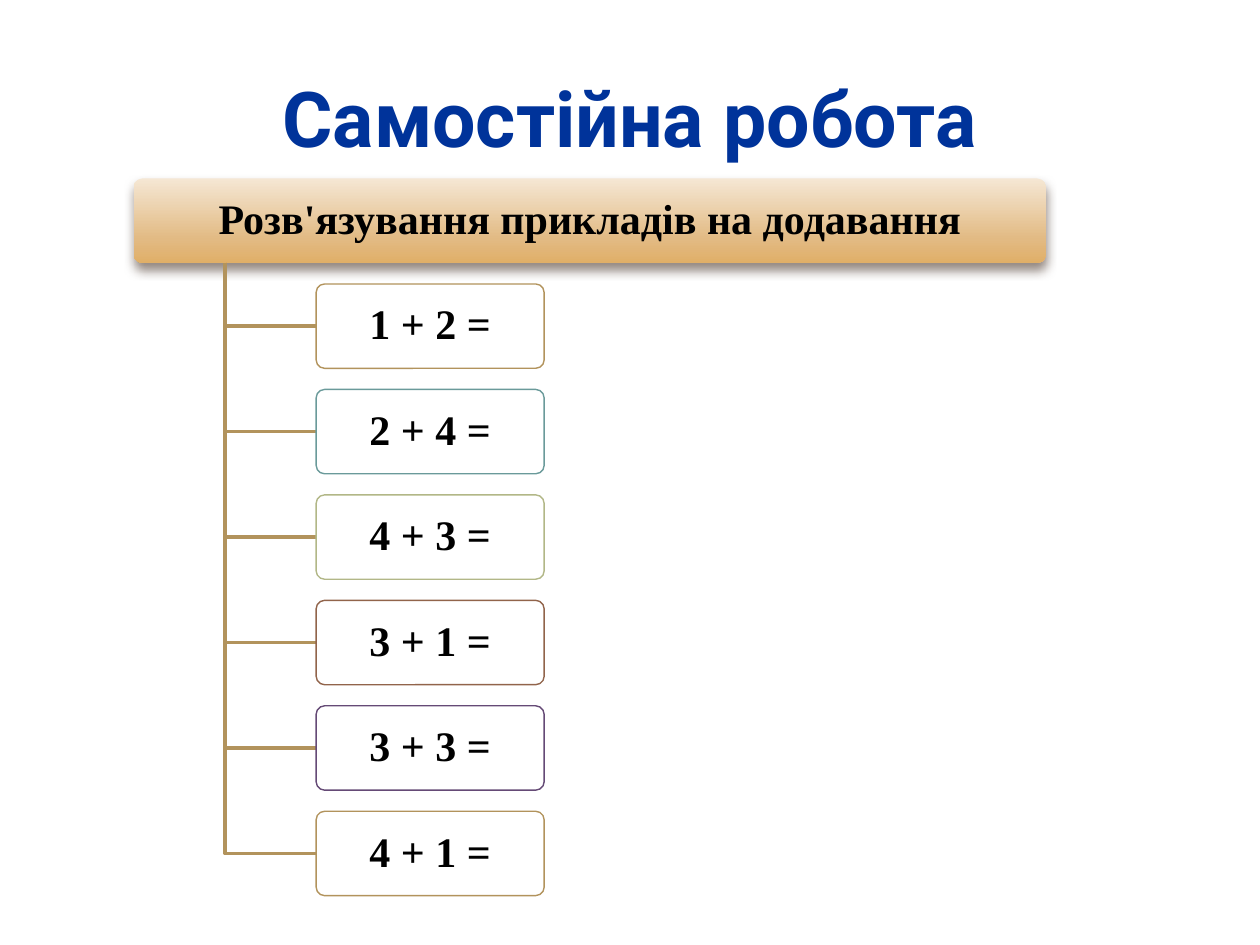
from dataclasses import dataclass

from pptx import Presentation
from pptx.dml.color import RGBColor
from pptx.enum.shapes import MSO_SHAPE as Shape
from pptx.enum.text import MSO_ANCHOR as Anchor, PP_ALIGN as Align
from pptx.oxml.ns import qn
from pptx.oxml.xmlchemy import OxmlElement
from pptx.util import Pt


@dataclass(frozen=True)
class Theme:
    """Colours, fonts and sizes of the slide."""
    title_font: str = "Roboto"
    body_font: str = "Times New Roman"
    title_size: float = 44
    body_size: float = 24
    title: str = "00339A"
    text: str = "000000"
    card: str = "FFFFFF"
    branch: str = "B2935C"
    shadow: str = "4E3B30"
    header: tuple = ((0, "F5E7D4"), (72, "E2BA83"), (100, "E0AF68"))
    borders: tuple = ("B2935C", "6A9A9A", "B2B787", "91644B", "654A76")


THEME = Theme()
TITLE = "Самостійна робота"
HEADING = "Розв'язування прикладів на додавання"
EXAMPLES = ("1 + 2 =", "2 + 4 =", "4 + 3 =", "3 + 1 =", "3 + 3 =", "4 + 1 =")


def add_child(parent, tag, **attributes):
    """Append an XML element with the given attributes."""
    child = OxmlElement(tag)
    for name, value in attributes.items():
        child.set(name, str(value))
    parent.append(child)
    return child


def write_text(shape, text, font, size, color, margins, spacing):
    """Write one bold, centred paragraph in a shape."""
    frame = shape.text_frame
    side, edge = margins
    formats = {"word_wrap": True, "vertical_anchor": Anchor.MIDDLE,
               "margin_left": Pt(side), "margin_right": Pt(side),
               "margin_top": Pt(edge), "margin_bottom": Pt(edge)}
    for name, value in formats.items():
        setattr(frame, name, value)
    paragraph = frame.paragraphs[0]
    paragraph.alignment = Align.CENTER
    paragraph.line_spacing = spacing
    run = paragraph.add_run()
    run.text = text
    for name, value in {"name": font, "size": Pt(size), "bold": True}.items():
        setattr(run.font, name, value)
    run.font.color.rgb = RGBColor.from_string(color)


def add_title(slide, left, top, width, height):
    """Place the slide title in its box."""
    box = slide.shapes.add_textbox(Pt(left), Pt(top), Pt(width), Pt(height))
    write_text(box, TITLE, THEME.title_font, THEME.title_size, THEME.title, (7.2, 3.6), 1.0)


def add_panel(slide, text, left, top, width, height):
    """Place a rounded panel with body text."""
    panel = slide.shapes.add_shape(
        Shape.ROUNDED_RECTANGLE, Pt(left), Pt(top), Pt(width), Pt(height))
    panel.adjustments[0] = 0.1
    panel.shadow.inherit = False
    write_text(panel, text, THEME.body_font, THEME.body_size, THEME.text, (5, 3.8), 0.9)
    return panel


def add_header(slide, left, top, width, height):
    """Place the heading with its gradient and soft shadow."""
    header = add_panel(slide, HEADING, left, top, width, height)
    header.line.fill.background()
    header.fill.gradient()
    header.fill.gradient_angle = 270
    properties = header._element.spPr
    stops = properties.find(".//" + qn("a:gsLst"))
    for stop in list(stops):
        stops.remove(stop)
    for position, color in THEME.header:
        stop = add_child(stops, "a:gs", pos=position * 1000)
        add_child(stop, "a:srgbClr", val=color)
    shadow = add_child(properties.find(qn("a:effectLst")), "a:outerShdw",
                       blurRad=Pt(6), dist=Pt(4), dir=5400000, rotWithShape=0)
    color = add_child(shadow, "a:srgbClr", val=THEME.shadow)
    add_child(color, "a:alpha", val=60000)


def add_card(slide, text, border, left, top, width, height):
    """Place one outlined example card."""
    card = add_panel(slide, text, left, top, width, height)
    card.fill.solid()
    card.fill.fore_color.rgb = RGBColor.from_string(THEME.card)
    color = card._element.spPr.find(qn("a:solidFill")).find(qn("a:srgbClr"))
    add_child(color, "a:alpha", val=90000)
    card.line.color.rgb = RGBColor.from_string(border)
    card.line.width = Pt(0.79)


def add_branch(slide, left, top, right, bottom):
    """Draw an elbow down from the heading and across to a card."""
    builder = slide.shapes.build_freeform(Pt(left), Pt(top))
    builder.add_line_segments(
        [(Pt(left), Pt(bottom)), (Pt(right), Pt(bottom))], close=False)
    branch = builder.convert_to_shape()
    branch.shadow.inherit = False
    branch.fill.background()
    branch.line.color.rgb = RGBColor.from_string(THEME.branch)
    branch.line.width = Pt(2)


def add_tree(slide, left, top, width, height):
    """Place the heading and hang the example cards below it."""
    pitch = height / (len(EXAMPLES) + 0.8)
    row = pitch * 0.8
    trunk = left + width * 0.1
    card_left = left + width * 0.2
    add_header(slide, left, top, width, row)
    for index, text in enumerate(EXAMPLES):
        card_top = top + pitch * (index + 1)
        border = THEME.borders[index % len(THEME.borders)]
        add_branch(slide, trunk, top + row, card_left, card_top + row / 2)
        add_card(slide, text, border, card_left, card_top, width * 0.25, row)


def main():
    """Build and save the slide."""
    presentation = Presentation()
    presentation.slide_width = Pt(720)
    presentation.slide_height = Pt(540)
    slide = presentation.slides.add_slide(presentation.slide_layouts[6])
    add_title(slide, 36, 21.6, 648, 90)
    add_tree(slide, 76.4, 102, 521.2, 409.8)
    presentation.save("out.pptx")


if __name__ == "__main__":
    main()
